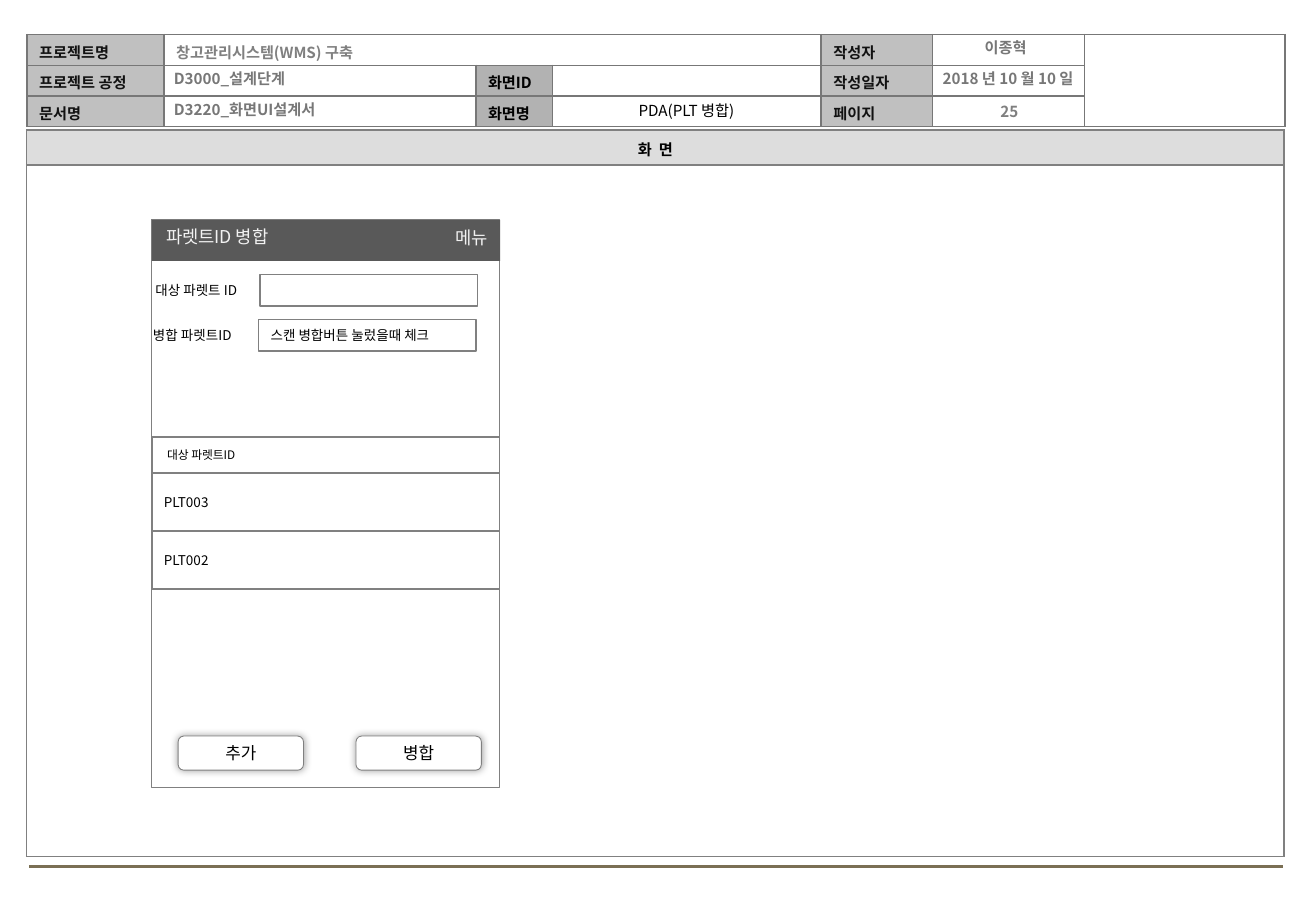
from lxml import etree
from pptx import Presentation
from pptx import util as u
from pptx.dml.color import RGBColor
from pptx.enum import shapes, text
from pptx.oxml import ns

FONT = "Noto Sans CJK KR"
GRAY = "808080"
BORDER = "777777"
LABEL = "C0C0C0"
SUBLABEL = "B2B2B2"
LEFT, CENTER, JUSTIFY = text.PP_ALIGN.LEFT, text.PP_ALIGN.CENTER, text.PP_ALIGN.JUSTIFY
TOP, MIDDLE = text.MSO_ANCHOR.TOP, text.MSO_ANCHOR.MIDDLE


def rgb(color):
    return RGBColor.from_string(color)


def add_node(parent, tag, **attrs):
    return etree.SubElement(parent, ns.qn(tag), {k: str(v) for k, v in attrs.items()})


def write(tf, words, size, color="000000", bold=False, align=LEFT):
    p = tf.paragraphs[0]
    p.text = words
    p.alignment = align
    p.font.size = u.Pt(size)
    p.font.bold = bold
    p.font.color.rgb = rgb(color)
    p.font.name = FONT
    add_node(p.font._element, "a:ea", typeface=FONT)


def frame(tf, anchor=TOP, left=7.2):
    tf.word_wrap = True
    tf.auto_size = text.MSO_AUTO_SIZE.NONE
    tf.vertical_anchor = anchor
    tf.margin_left, tf.margin_right = u.Pt(left), u.Pt(7.2)
    tf.margin_top = tf.margin_bottom = u.Pt(3.6)


def add_text(slide, box, words, size, **style):
    sp = slide.shapes.add_textbox(*map(u.Pt, box))
    frame(sp.text_frame)
    write(sp.text_frame, words, size, **style)


def add_box(slide, box, kind=shapes.MSO_SHAPE.RECTANGLE, fill=None, line=GRAY, width=1):
    sp = slide.shapes.add_shape(kind, *map(u.Pt, box))
    sp.shadow.inherit = False
    if fill:
        sp.fill.solid()
        sp.fill.fore_color.rgb = rgb(fill)
    else:
        sp.fill.background()
    if line:
        sp.line.color.rgb = rgb(line)
        sp.line.width = u.Pt(width)
    else:
        sp.line.fill.background()
    return sp


def add_text_box(slide, box, words, size, left=7.2, align=LEFT, **look):
    sp = add_box(slide, box, **look)
    frame(sp.text_frame, MIDDLE, left)
    write(sp.text_frame, words, size, align=align)
    return sp


def add_grid(slide, x, y, cols, rows):
    table = slide.shapes.add_table(len(rows), len(cols), *map(u.Pt, (x, y, sum(cols), sum(rows)))).table
    table.first_row = table.horz_banding = False
    for col, width in zip(table.columns, cols):
        col.width = u.Pt(width)
    for row, height in zip(table.rows, rows):
        row.height = u.Pt(height)
    return table


def style_cell(cell, border, fill=None):
    cell.vertical_anchor = MIDDLE
    cell.margin_left = cell.margin_right = u.Pt(7.2)
    cell.margin_top, cell.margin_bottom = u.Pt(2), 0
    props = cell._tc.get_or_add_tcPr()
    for side in ("a:lnL", "a:lnR", "a:lnT", "a:lnB"):
        ln = add_node(props, side, w=u.Pt(1))
        add_node(add_node(ln, "a:solidFill"), "a:srgbClr", val=border)
    if fill:
        cell.fill.solid()
        cell.fill.fore_color.rgb = rgb(fill)
    else:
        cell.fill.background()
    if not cell.text:
        add_node(cell.text_frame.paragraphs[0]._p, "a:endParaRPr", sz=900)


def header(slide, x, y):
    cols = (81.2, 184.9, 45.3, 159.4, 66.1, 90.1, 118.8)
    table = add_grid(slide, x, y, cols, [18.2] * 3)
    table.cell(0, 1).merge(table.cell(0, 3))
    table.cell(0, 6).merge(table.cell(2, 6))
    labels = {
        (0, 0): ("프로젝트명", "111111", LABEL),
        (0, 1): ("창고관리시스템(WMS) 구축", GRAY, None),
        (0, 4): ("작성자", "111111", LABEL),
        (1, 0): ("프로젝트 공정", "111111", LABEL),
        (1, 2): ("화면ID", "000000", SUBLABEL),
        (1, 4): ("작성일자", "111111", LABEL),
        (2, 0): ("문서명", "111111", LABEL),
        (2, 2): ("화면명", "000000", SUBLABEL),
        (2, 4): ("페이지", "111111", LABEL),
    }
    for row in range(3):
        for col in range(len(cols)):
            cell = table.cell(row, col)
            if cell.is_spanned:
                continue
            words, color, fill = labels.get((row, col), ("", None, None))
            if words:
                write(cell.text_frame, words, 9, color, True)
            style_cell(cell, BORDER, fill)

    for dx, dy, width, words, color, align in (
        (80, 17, 390, "D3000_설계단계", BORDER, LEFT),
        (80, 35.6, 390, "D3220_화면UI설계서", BORDER, LEFT),
        (523.5, -1.1, 113, "이종혁", BORDER, CENTER),
        (525, 17, 113, "2018 년 10 월 10 일", BORDER, CENTER),
        (537.2, 36.4, 90, "25", "7F7F7F", CENTER),
    ):
        add_text(slide, (x + dx, y + dy, width, 18), words, 9, color=color, bold=True, align=align)

    title = slide.shapes.title
    title.left, title.top, title.width, title.height = map(u.Pt, (x + 312.3, y + 35.7, 157, 18))
    frame(title.text_frame)
    write(title.text_frame, "PDA(PLT 병합)", 9, align=CENTER)


def screen_panel(slide, x, y, width, height):
    bar = 20.7
    table = add_grid(slide, x, y, [width], [bar, height - bar])
    write(table.cell(0, 0).text_frame, "화\u00a0 면".replace("\u00a0", " "), 9, bold=True, align=CENTER)
    style_cell(table.cell(0, 0), GRAY, "DDDDDD")
    style_cell(table.cell(1, 0), GRAY)


def add_button(slide, box, words):
    sp = add_text_box(slide, box, words, 10, align=CENTER, width=0.5, fill="FFFFFF",
                      kind=shapes.MSO_SHAPE.ROUNDED_RECTANGLE)
    effects = sp._element.spPr.find(ns.qn("a:effectLst"))
    shadow = add_node(effects, "a:outerShdw", blurRad=u.Pt(5), dist=0, dir=0, algn="ctr")
    add_node(add_node(shadow, "a:srgbClr", val="000000"), "a:alpha", val=40000)


def device(slide, x, y, width, height):
    add_box(slide, (x, y, width, height), shapes.MSO_SHAPE.FLOWCHART_PROCESS, "FFFFFF", width=0.5)
    add_box(slide, (x, y, width + 0.5, 24.3), fill="595959", line=None)
    add_text(slide, (x + 1.4, y, 125, 20), "파렛트ID 병합", 10.5, color="F2F2F2")
    add_text(slide, (x + 172.8, y + 0.6, 38, 20), "메뉴", 10.5, color="F2F2F2")

    for i, (label, value, shift) in enumerate((
        ("대상 파렛트 ID", "", 0),
        ("병합 파렛트ID", "스캔 병합버튼 눌렀을때 체크", -0.7),
    )):
        top = y + 32.4 + 26.7 * i
        add_text(slide, (x - 5 + 2 * shift, top + 0.7, 70, 17.3), label, 8, align=JUSTIFY)
        field = (x + 64 + shift, top, 129, 18.7)
        if value:
            add_text_box(slide, field, value, 8)
        else:
            add_box(slide, field)

    head, row = 21.4, 34.4
    list_top = y + 128.7
    add_text_box(slide, (x, list_top, width, head), "대상 파렛트ID", 7, left=9)
    for i, pallet in enumerate(("PLT003", "PLT002")):
        add_text_box(slide, (x, list_top + head + row * i, width, row), pallet, 8)

    for i, action in enumerate(("추가", "병합")):
        add_button(slide, (x + 15.6 + 105.4 * i, y + 306, 74.3, 20.2), action)


def footer(slide, x, y, width):
    rule = slide.shapes.add_connector(shapes.MSO_CONNECTOR.STRAIGHT, *map(u.Pt, (x, y, x + width, y)))
    rule.line.color.rgb = rgb("7A6F54")
    rule.line.width = u.Pt(1.75)
    add_node(rule._element.spPr, "a:effectLst")


def main():
    prs = Presentation()
    prs.slide_width, prs.slide_height = u.Pt(780), u.Pt(540)
    slide = prs.slides.add_slide(prs.slide_layouts[5])
    footer(slide, 17.3, 513.8, 743)
    header(slide, 16, 20.5)
    screen_panel(slide, 15.8, 77, 745.2, 430.8)
    device(slide, 90, 130.3, 206, 336.2)
    prs.save("out.pptx")


if __name__ == "__main__":
    main()
